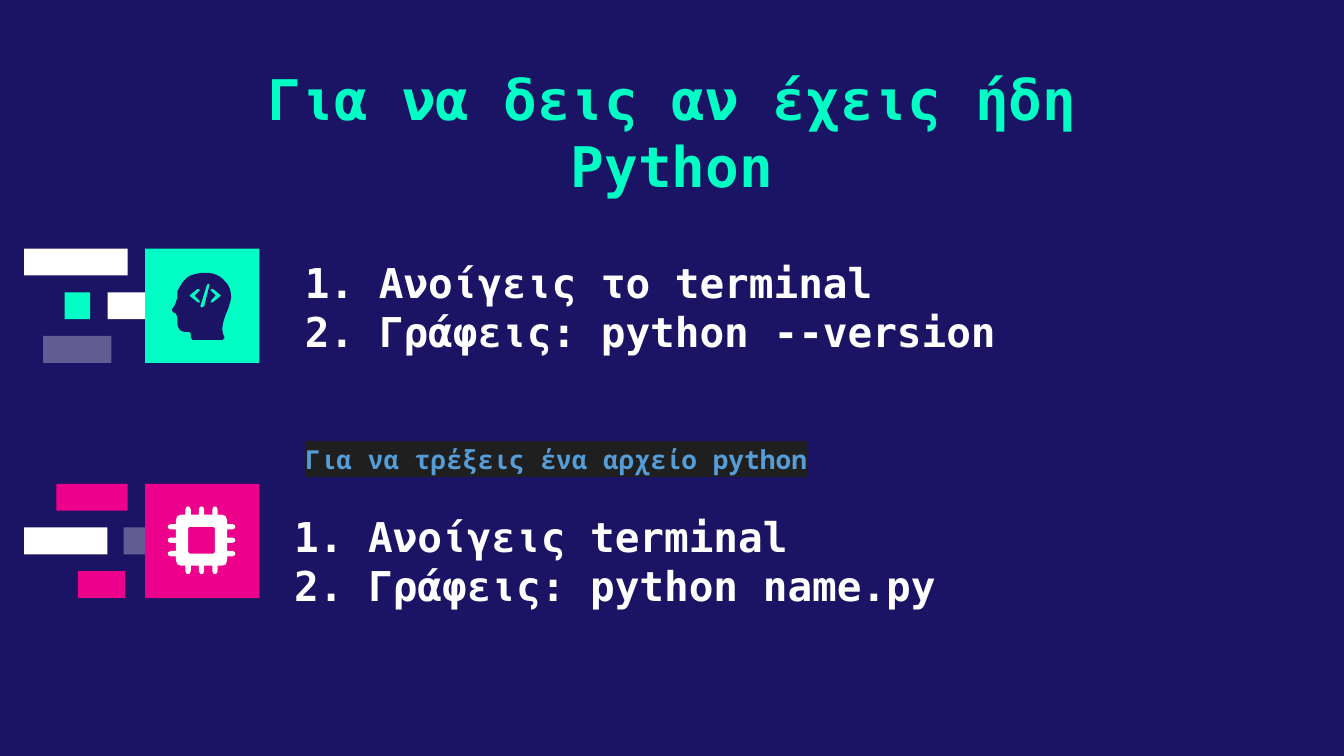
from lxml.etree import SubElement
from pptx import Presentation
from pptx.dml.color import RGBColor
from pptx.enum.shapes import MSO_SHAPE as Preset
from pptx.enum.text import MSO_ANCHOR as Anchor, MSO_AUTO_SIZE as AutoSize, PP_ALIGN as Align
from pptx.oxml.ns import qn
from pptx.util import Inches, Pt

COLORS = {
    "navy": "1B1464", "mint": "00FFC5", "pink": "EC008C", "white": "FFFFFF",
    "blue": "569CD6", "charcoal": "1F1F1F",
}
MONO = "DejaVu Sans Mono"
COLUMNS, ROWS = 100, 56.25
CELL = Inches(10) / COLUMNS
BAR, BAR_STEP, SQUARE = 2, 3.25, 8.5

# Icon outlines, in tenths of a cell; six numbers are a curve, two a line
HEAD = [
    (25, 0), (20, 0, 16, 1, 12, 3), (8, 6, 6, 10, 4, 14), (4, 16, 4, 17, 4, 19),
    (3, 21, 3, 23, 1, 26), (0, 27, 0, 28, 0, 28), (0, 29, 2, 30, 2, 30),
    (3, 30, 3, 31, 3, 31), (4, 32, 4, 33, 4, 35), (4, 37, 4, 40, 5, 41),
    (6, 44, 9, 44, 11, 44), (13, 44, 14, 44, 14, 46), (14, 47),
    (14, 49, 14, 49, 15, 49), (15, 50, 15, 50, 16, 50), (37, 50),
    (38, 50, 38, 50, 38, 49), (39, 49, 39, 49, 39, 48), (36, 42, 38, 37, 40, 31),
    (42, 27, 43, 23, 44, 19), (44, 14, 43, 10, 40, 7), (36, 2, 31, 0, 25, 0),
]
CHEVRON = [(20, 12), (21, 13), (20, 14), (17, 17), (20, 20), (21, 22),
           (19, 22), (14, 18), (13, 17), (14, 16), (19, 12)]
SLASH = [(27, 8), (28, 9), (24, 25), (22, 26), (21, 25), (26, 9)]


def flatten(segments, steps=6):
    """Turn lines and cubic curves into a list of points."""
    points = []
    for segment in segments:
        if len(segment) == 2:
            points.append(segment)
            continue
        start, controls = points[-1], (segment[:2], segment[2:4], segment[4:])
        for step in range(1, steps + 1):
            t = step / steps
            weights = ((1 - t) ** 3, 3 * t * (1 - t) ** 2, 3 * t * t * (1 - t), t ** 3)
            points.append(tuple(
                sum(weight * point[axis] for weight, point in zip(weights, (start, *controls)))
                for axis in (0, 1)))
    return points


def four_sides(side):
    """Repeat the points of the top side around the centre."""
    points = []
    for _ in range(4):
        points += side
        side = [(-y, x) for x, y in side]
    return points


def head_contours():
    mirrored = [(49.5 - x, y) for x, y in CHEVRON]
    return [flatten(HEAD), CHEVRON, mirrored, SLASH]


def chip_contours():
    side = [(-19, -15), (-18, -18), (-15, -19)]
    pin = [(-2, -19), (-2, -23), (-1, -25), (1, -25), (2, -23), (2, -19)]
    for center in (-10, 0, 10):
        side += [(center + x, y) for x, y in pin]
    core = [(-10, -8.5), (-9.5, -9.5), (-8.5, -10)]
    return [four_sides(side), four_sides(core)]


class SlideBuilder:
    def __init__(self, presentation):
        self.slide = presentation.slides.add_slide(presentation.slide_layouts[5])
        self.shapes = self.slide.shapes
        fill = self.slide.background.fill
        fill.solid()
        fill.fore_color.rgb = self.color("navy")

    @staticmethod
    def color(name):
        return RGBColor.from_string(COLORS[name])

    @staticmethod
    def cells(*values):
        return [round(value * CELL) for value in values]

    def paint(self, shape, color, alpha=None):
        shape.shadow.inherit = False
        shape.line.fill.background()
        shape.fill.solid()
        shape.fill.fore_color.rgb = self.color(color)
        if alpha:
            tint = shape._element.spPr.find(qn("a:solidFill"))[0]
            SubElement(tint, qn("a:alpha"), val=str(alpha * 1000))

    def set_text(self, shape, text, size, color, inset=1, anchor=Anchor.TOP,
                 align=Align.LEFT, font=MONO):
        frame = shape.text_frame
        frame.text = text
        frame.word_wrap = True
        frame.auto_size = AutoSize.NONE
        frame.vertical_anchor = anchor
        frame.margin_left, frame.margin_right = self.cells(1, 1)
        frame.margin_top, frame.margin_bottom = self.cells(inset, inset)
        for paragraph in frame.paragraphs:
            paragraph.alignment = align
            paragraph.font.name = font
            paragraph.font.size = Pt(size)
            paragraph.font.bold = True
            paragraph.font.color.rgb = self.color(color)

    def title(self, text, *box):
        shape = self.shapes.title
        shape.left, shape.top, shape.width, shape.height = self.cells(*box)
        self.set_text(shape, text, 30, "mint", align=Align.CENTER)

    def steps(self, text, *box):
        shape = self.shapes.add_textbox(*self.cells(*box))
        self.set_text(shape, text, 22, "white", inset=0, anchor=Anchor.BOTTOM)

    def highlighted(self, text, *box):
        shape = self.shapes.add_textbox(*self.cells(*box))
        self.set_text(shape, text, 14, "blue", inset=0.5, font="Noto Sans Mono")
        properties = shape.text_frame.paragraphs[0].runs[0]._r.get_or_add_rPr()
        highlight = SubElement(properties, qn("a:highlight"))
        SubElement(highlight, qn("a:srgbClr"), val=COLORS["charcoal"])

    def rectangle(self, color, *box, alpha=None):
        shape = self.shapes.add_shape(Preset.RECTANGLE, *self.cells(*box))
        self.paint(shape, color, alpha)

    def badge(self, color, top, bars):
        """Draw a square with loose bars on its left."""
        for line, left, width, bar_color, alpha in bars:
            self.rectangle(bar_color, left, top + line * BAR_STEP, width, BAR, alpha=alpha)
        self.rectangle(color, 10.8, top, SQUARE, SQUARE)

    def icon(self, color, left, top, contours):
        builder = None
        for contour in contours:
            start, *rest = [self.cells(left + x / 10, top + y / 10) for x, y in contour]
            if builder is None:
                builder = self.shapes.build_freeform(*start, scale=1.0)
            else:
                builder.move_to(*start)
            builder.add_line_segments(rest, close=True)
        self.paint(builder.convert_to_shape(), color)


def main():
    presentation = Presentation()
    presentation.slide_width, presentation.slide_height = SlideBuilder.cells(COLUMNS, ROWS)
    builder = SlideBuilder(presentation)

    builder.title("Για να δεις αν έχεις ήδη Python", 14, 3.8, 72, 7.3)

    # Checking the version
    builder.badge("mint", 18.5, [
        (0, 1.8, 7.7, "white", None), (1, 4.8, 1.9, "mint", None),
        (1, 8, 3.5, "white", None), (2, 3.2, 5.1, "white", 31)])
    builder.icon("navy", 12.8, 20.3, head_contours())
    builder.steps("1. Ανοίγεις το terminal\v2. Γράφεις: python --version", 21.7, 17.1, 60.1, 9.4)

    # Running a file
    builder.badge("pink", 36, [
        (0, 4.2, 5.3, "pink", None), (1, 1.8, 6.2, "white", None),
        (1, 9.2, 2.4, "white", 31), (2, 5.8, 3.5, "pink", None)])
    builder.icon("white", 15, 40.2, chip_contours())
    builder.highlighted("Για να τρέξεις ένα αρχείο python", 21.7, 32.5, 50, 3.4)
    builder.steps("1. Ανοίγεις terminal\n2. Γράφεις: python name.py", 20.9, 36, 60.1, 9.4)

    presentation.save("out.pptx")


if __name__ == "__main__":
    main()
